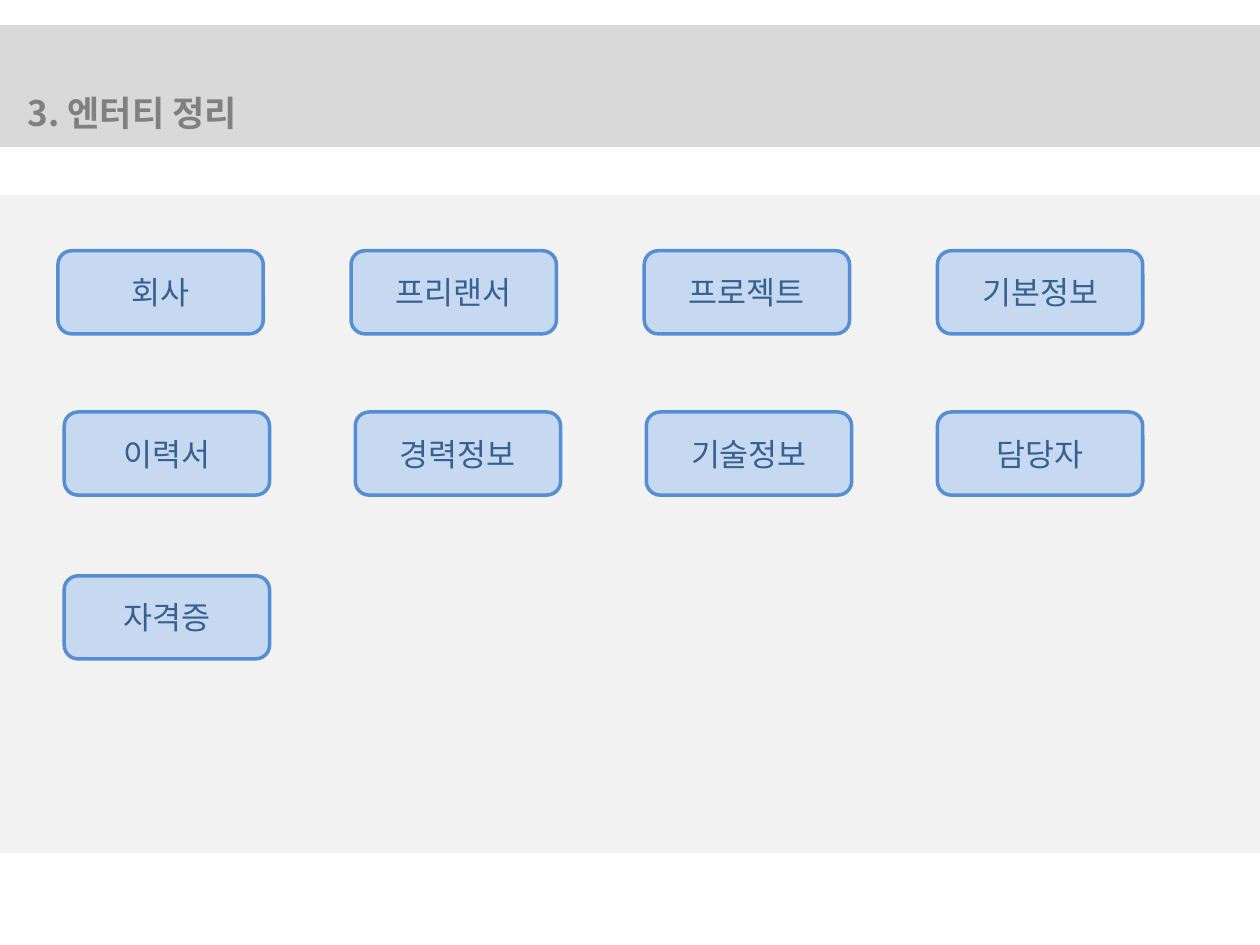
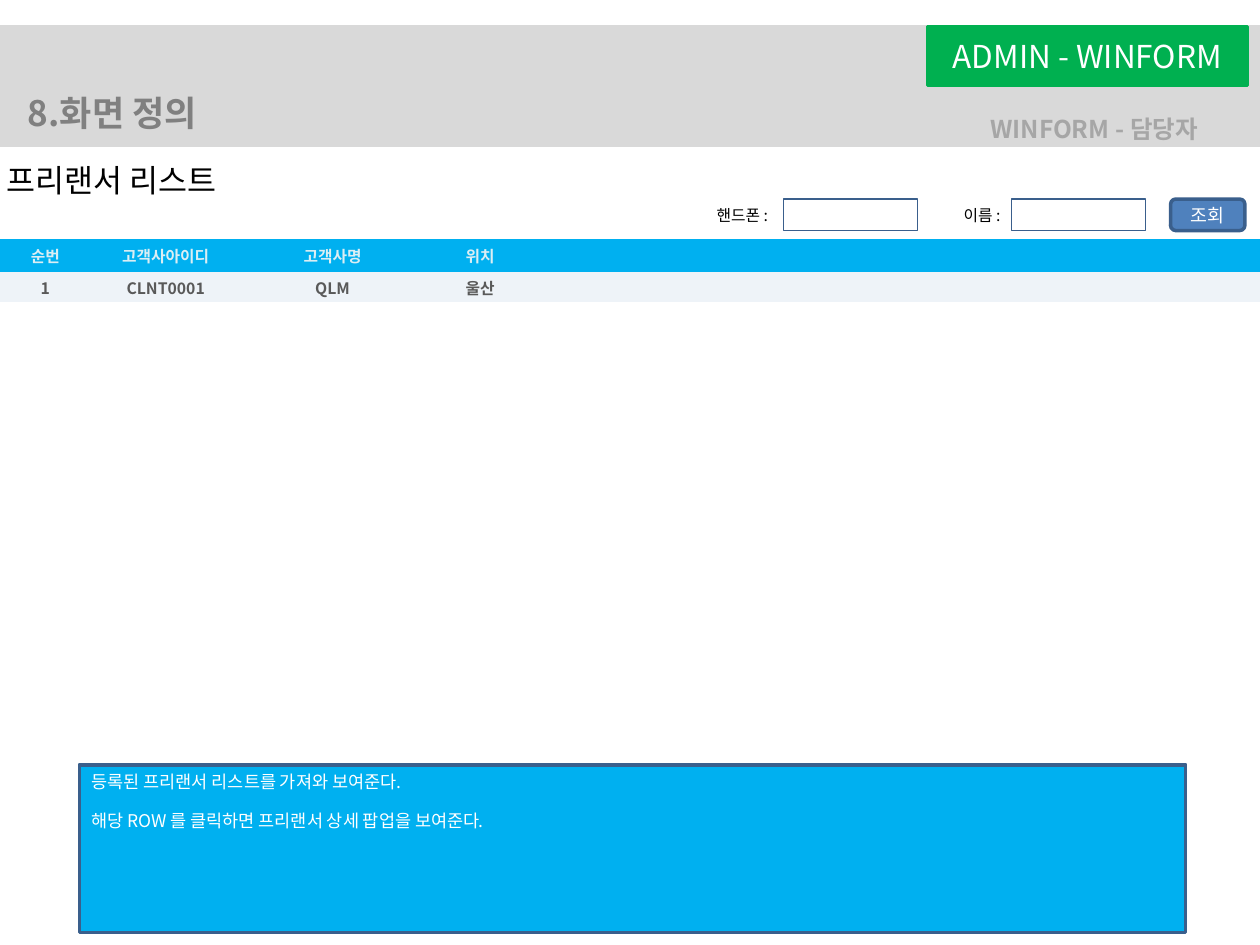
from lxml import etree
from pptx import Presentation
from pptx import util as u
from pptx.dml.color import RGBColor
from pptx.enum import shapes, text
from pptx.oxml import ns

FONT = "Noto Sans CJK KR"
COLUMNS, ROWS = 100, 75
LEFT, CENTER = text.PP_ALIGN.LEFT, text.PP_ALIGN.CENTER
TOP, MIDDLE = text.MSO_ANCHOR.TOP, text.MSO_ANCHOR.MIDDLE
RECT, ROUNDED = shapes.MSO_SHAPE.RECTANGLE, shapes.MSO_SHAPE.ROUNDED_RECTANGLE

WHITE = RGBColor(0xFF, 0xFF, 0xFF)
BLACK = RGBColor(0x00, 0x00, 0x00)
BAND_GRAY = RGBColor(0xD9, 0xD9, 0xD9)
PANEL_GRAY = RGBColor(0xF2, 0xF2, 0xF2)
TITLE_GRAY = RGBColor(0x80, 0x80, 0x80)
CAPTION_GRAY = RGBColor(0xA6, 0xA6, 0xA6)
CELL_GRAY = RGBColor(0x59, 0x59, 0x59)
ENTITY_FILL = RGBColor(0xC6, 0xD9, 0xF1)
ENTITY_LINE = RGBColor(0x55, 0x8E, 0xD5)
ENTITY_TEXT = RGBColor(0x37, 0x60, 0x92)
SKY = RGBColor(0x00, 0xB0, 0xF0)
PALE_SKY = RGBColor(0xDB, 0xEE, 0xF4)
ROW_FILL = RGBColor(0xEE, 0xF3, 0xF8)
BUTTON_BLUE = RGBColor(0x4F, 0x81, 0xBD)
NAVY = RGBColor(0x3A, 0x5F, 0x8C)
GREEN = RGBColor(0x00, 0xB0, 0x50)


class SlideBuilder:
    def __init__(self):
        self.deck = Presentation()
        self.deck.slide_width, self.deck.slide_height = u.Inches(10), u.Inches(7.5)
        self.slide = None

    def across(self, columns):
        return round(self.deck.slide_width * columns / COLUMNS)

    def down(self, rows):
        return round(self.deck.slide_height * rows / ROWS)

    def area(self, left, top, width, height):
        return self.across(left), self.down(top), self.across(width), self.down(height)

    def fill_text(self, frame, lines, size, color, bold=False, align=LEFT, anchor=TOP, gap=0):
        frame.word_wrap = True
        frame.vertical_anchor = anchor
        for index, line in enumerate(lines):
            para = frame.add_paragraph() if index else frame.paragraphs[0]
            para.alignment = align
            if index:
                para.space_before = u.Pt(gap)
            span = para.add_run()
            span.text = line
            span.font.name, span.font.size = FONT, u.Pt(size)
            span.font.bold, span.font.color.rgb = bold, color
            latin = span.font._element.find(ns.qn("a:latin"))
            east_asian = etree.Element(ns.qn("a:ea"), typeface=FONT)
            latin.addnext(east_asian)

    def page(self, title):
        self.slide = self.deck.slides.add_slide(self.deck.slide_layouts[5])
        self.box((0, 2.1, 100, 9.4), BAND_GRAY, BAND_GRAY)
        holder = self.slide.shapes.title
        holder.left, holder.top, holder.width, holder.height = self.area(1.2, 6.8, 37.8, 4.4)
        self.fill_text(holder.text_frame, [title], 20, TITLE_GRAY, bold=True)
        holder.text_frame.auto_size = text.MSO_AUTO_SIZE.NONE
        self.slide.shapes.element.append(holder.element)

    def box(self, place, fill, line, weight=2, kind=RECT, lines=(), **style):
        box = self.slide.shapes.add_shape(kind, *self.area(*place))
        box.shadow.inherit = False
        if fill is None:
            box.fill.background()
        else:
            box.fill.solid()
            box.fill.fore_color.rgb = fill
        box.line.color.rgb = line
        box.line.width = u.Pt(weight)
        if lines:
            self.fill_text(box.text_frame, lines, **style)

    def label(self, place, words, size, color, bold=False):
        box = self.slide.shapes.add_textbox(*self.area(*place))
        self.fill_text(box.text_frame, [words], size, color, bold)

    def table(self, left, top, widths, heights, rows, looks, last_margin):
        place = self.area(left, top, sum(widths), sum(heights))
        frame = self.slide.shapes.add_table(len(rows), len(widths), *place)
        grid = frame.table
        grid.first_row = grid.horz_banding = False
        for column, width in zip(grid.columns, widths):
            column.width = self.across(width)
        for row, height, words, (fill, color) in zip(grid.rows, heights, rows, looks):
            row.height = self.down(height)
            for cell, word in zip(row.cells, words):
                cell.margin_left = cell.margin_right = cell.margin_top = cell.margin_bottom = 0
                cell.vertical_anchor = MIDDLE
                cell.fill.solid()
                cell.fill.fore_color.rgb = fill
                self.hide_borders(cell)
                self.fill_text(cell.text_frame, [word], 9, color, True, CENTER, MIDDLE)
            cell.margin_right = self.across(last_margin)

    def hide_borders(self, cell):
        properties = cell._tc.get_or_add_tcPr()
        for index, side in enumerate(("a:lnL", "a:lnR", "a:lnT", "a:lnB")):
            border = etree.Element(ns.qn(side), w="0")
            etree.SubElement(border, ns.qn("a:noFill"))
            properties.insert(index, border)


def entity_slide(builder):
    builder.page("3. 엔터티 정리")
    builder.box((0, 15.6, 100, 52), PANEL_GRAY, PANEL_GRAY)
    entity_rows = [
        (4.6, 19.9, ["회사", "프리랜서", "프로젝트", "기본정보"]),
        (5.1, 32.7, ["이력서", "경력정보", "기술정보", "담당자"]),
        (5.1, 45.7, ["자격증"]),
    ]
    last_left = 74.4
    for first_left, top, names in entity_rows:
        pitch = (last_left - first_left) / 3
        for index, name in enumerate(names):
            builder.box((first_left + index * pitch, top, 16.3, 6.6), ENTITY_FILL, ENTITY_LINE,
                        kind=ROUNDED, lines=[name], size=18, color=ENTITY_TEXT,
                        align=CENTER, anchor=MIDDLE)


def screen_slide(builder):
    builder.page("8.화면 정의")
    builder.label((77.6, 8.6, 22.4, 3.4), "WINFORM - 담당자", 14, CAPTION_GRAY, bold=True)
    builder.label((-0.5, 12.3, 33.1, 4), "프리랜서 리스트", 18, BLACK)

    for words, label_left, field_left in (("핸드폰 :", 55.9, 62.2), ("이름 :", 75.5, 80.3)):
        builder.label((label_left, 15.8, 9.4, 2.5), words, 9, BLACK)
        builder.box((field_left, 15.8, 10.6, 2.5), None, NAVY, weight=0.75)
    builder.box((92.9, 15.8, 5.9, 2.5), BUTTON_BLUE, NAVY, kind=ROUNDED, lines=["조회"],
                size=10.5, color=WHITE, align=CENTER, anchor=MIDDLE)

    builder.table(0, 19, widths=[7.2, 11.9, 14.6, 66.3], heights=[2.6, 2.4],
                  rows=[["순번", "고객사아이디", "고객사명", "위치"],
                        ["1", "CLNT0001", "QLM", "울산"]],
                  looks=[(SKY, PALE_SKY), (ROW_FILL, CELL_GRAY)], last_margin=57.5)

    notes = ["등록된 프리랜서 리스트를 가져와 보여준다.",
             "해당 ROW 를 클릭하면 프리랜서 상세 팝업을 보여준다."]
    builder.box((6.3, 60.7, 87.8, 13.3), SKY, NAVY, lines=notes, size=10, color=WHITE, gap=10)
    builder.box((73.6, 2.1, 25.4, 4.7), GREEN, GREEN, lines=["ADMIN - WINFORM"],
                size=18, color=WHITE, align=CENTER, anchor=MIDDLE)


def main():
    builder = SlideBuilder()
    entity_slide(builder)
    screen_slide(builder)
    builder.deck.save("out.pptx")


if __name__ == "__main__":
    main()
